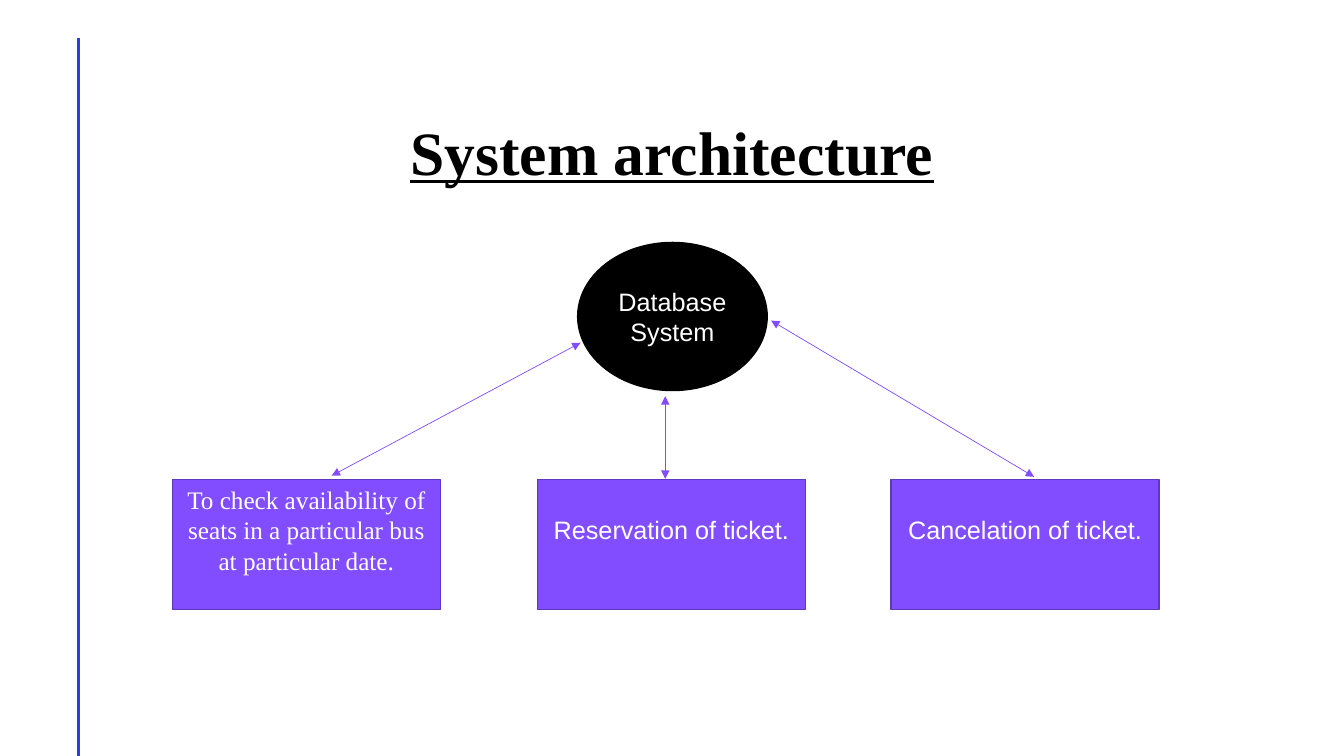
from dataclasses import dataclass

from lxml import etree
from pptx import Presentation
from pptx.dml.color import RGBColor
from pptx.enum import shapes, text
from pptx.oxml import ns
from pptx.util import Pt


@dataclass(frozen=True)
class Theme:
    ink: str = "000000"
    white: str = "FFFFFF"
    violet: str = "814DFF"
    violet_dark: str = "5F39BD"
    rule: str = "2F3CE0"
    serif: str = "Times New Roman"
    sans: str = "Arial"
    title_size: float = 44
    body_size: float = 18


THEME = Theme()

# Function boxes: left edge, label, font
BOX_TOP, BOX_WIDTH, BOX_HEIGHT = 342.7, 191.5, 92.9
BOXES = [
    (123.1, "To check availability of seats in a particular bus at particular date.",
     THEME.serif),
    (383.8, "Reservation of ticket.", THEME.sans),
    (636.5, "Cancelation of ticket.", THEME.sans),
]

# Double-headed arrows between the database and the boxes
ARROWS = [
    (414.7, 244.8, 236.9, 339.8),
    (475.2, 283, 475.2, 342),
    (738.7, 340.6, 550.8, 229),
]


def rgb(value):
    return RGBColor.from_string(value)


def write(s, words, font=THEME.sans, size=THEME.body_size, color=THEME.white,
          bold=False, underline=False, bottom=3.6):
    tf = s.text_frame
    tf.word_wrap = True
    tf.vertical_anchor = text.MSO_ANCHOR.MIDDLE
    tf.margin_top, tf.margin_bottom = Pt(3.6), Pt(bottom)
    p = tf.paragraphs[0]
    p.alignment = text.PP_ALIGN.CENTER
    r = p.add_run()
    r.text = words
    r.font.name, r.font.size = font, Pt(size)
    r.font.bold, r.font.underline = bold, underline
    r.font.color.rgb = rgb(color)


def add_title(slide, words):
    s = slide.shapes.add_textbox(Pt(66), Pt(78.5), Pt(828), Pt(58))
    write(s, words, font=THEME.serif, size=THEME.title_size, color=THEME.ink,
          bold=True, underline=True)


def add_node(slide, kind, left, top, width, height, fill, line, words, **fmt):
    s = slide.shapes.add_shape(kind, Pt(left), Pt(top), Pt(width), Pt(height))
    s.shadow.inherit = False
    s.fill.solid()
    s.fill.fore_color.rgb = rgb(fill)
    s.line.color.rgb = rgb(line)
    s.line.width = Pt(1)
    write(s, words, **fmt)


def add_line(slide, x1, y1, x2, y2, color, width, arrows=False):
    s = slide.shapes.add_connector(shapes.MSO_CONNECTOR.STRAIGHT,
                                   Pt(x1), Pt(y1), Pt(x2), Pt(y2))
    s.line.color.rgb = rgb(color)
    s.line.width = Pt(width)
    if arrows:
        ln = s.line._get_or_add_ln()
        for end in ("a:headEnd", "a:tailEnd"):
            etree.SubElement(ln, ns.qn(end), type="triangle")
    etree.SubElement(s._element.spPr, ns.qn("a:effectLst"))


def main():
    prs = Presentation()
    prs.slide_width, prs.slide_height = Pt(960), Pt(540)
    slide = prs.slides.add_slide(prs.slide_layouts[6])

    # Side rule and title
    add_line(slide, 56.2, 27.5, 56.2, 540, THEME.rule, 2)
    add_title(slide, "System architecture")

    # Database
    add_node(slide, shapes.MSO_SHAPE.OVAL, 412.6, 173.2, 135.4, 105.8,
             THEME.ink, THEME.ink, "Database System")

    # Functions, with labels raised above the middle
    for left, words, font in BOXES:
        add_node(slide, shapes.MSO_SHAPE.RECTANGLE, left, BOX_TOP, BOX_WIDTH,
                 BOX_HEIGHT, THEME.violet, THEME.violet_dark, words,
                 font=font, bottom=25)

    # Arrows
    for ends in ARROWS:
        add_line(slide, *ends, THEME.violet, 0.5, arrows=True)

    prs.save("out.pptx")


if __name__ == "__main__":
    main()
